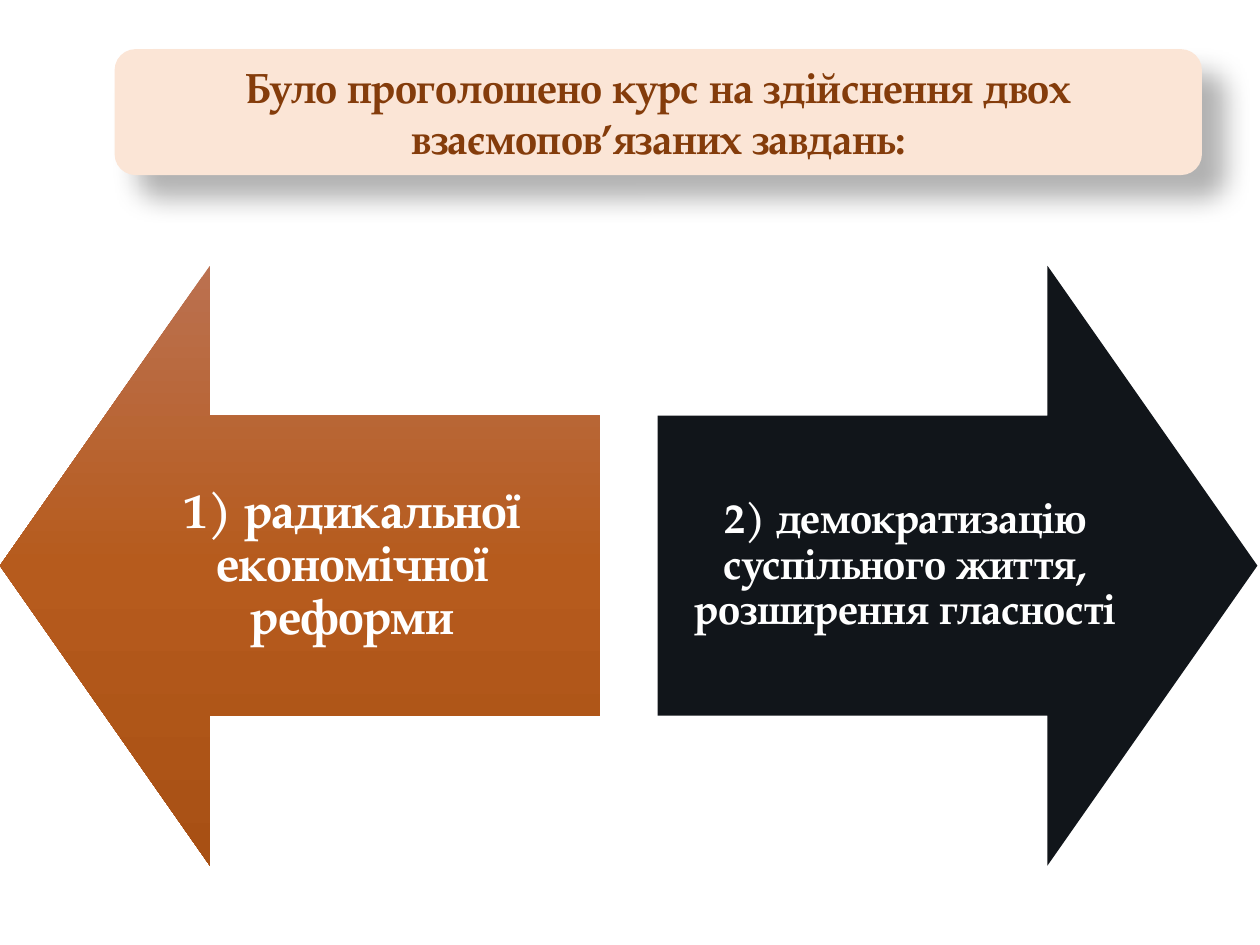
from copy import deepcopy

from lxml import etree
from pptx import Presentation
from pptx.dml.color import RGBColor
from pptx.enum.shapes import MSO_SHAPE
from pptx.enum.text import MSO_ANCHOR, PP_ALIGN
from pptx.oxml import parse_xml
from pptx.oxml.ns import nsdecls
from pptx.util import Inches, Pt

FONT = "TeX Gyre Pagella"
PEACH = RGBColor(0xFB, 0xE5, 0xD6)
BROWN = RGBColor(0x84, 0x3C, 0x0B)
WHITE = RGBColor(0xFF, 0xFF, 0xFF)
NEAR_BLACK = RGBColor(0x11, 0x15, 0x1A)
RUST_STOPS = [
    (0, RGBColor(0xBB, 0x71, 0x50)),
    (0.5, RGBColor(0xB6, 0x5B, 0x1D)),
    (1, RGBColor(0xA8, 0x50, 0x14)),
]
ARROW_SIZE = 4.76


def add_labelled_shape(page, kind, left, top, width, height, text, size, color):
    """Add an outline-free shape with one centred bold paragraph."""
    shape = page.shapes.add_shape(
        kind, Inches(left), Inches(top), Inches(width), Inches(height)
    )
    shape.shadow.inherit = False
    shape.line.fill.background()
    frame = shape.text_frame
    frame.word_wrap = True
    frame.vertical_anchor = MSO_ANCHOR.MIDDLE
    paragraph = frame.paragraphs[0]
    paragraph.text = text
    paragraph.alignment = PP_ALIGN.CENTER
    paragraph.font.name = FONT
    paragraph.font.size = Pt(size)
    paragraph.font.bold = True
    paragraph.font.color.rgb = color
    return shape


deck = Presentation()
deck.slide_width, deck.slide_height = Inches(10), Inches(7.5)
page = deck.slides.add_slide(deck.slide_layouts[6])

# Title with a soft shadow to the lower right
title = add_labelled_shape(
    page, MSO_SHAPE.ROUNDED_RECTANGLE, 0.91, 0.39, 8.63, 1,
    "Було проголошено курс на здійснення двох взаємопов’язаних завдань:", 24, BROWN,
)
title.fill.solid()
title.fill.fore_color.rgb = PEACH
effects = title._element.spPr.find("{*}effectLst")
effects.append(parse_xml(
    f'<a:outerShdw {nsdecls("a")} blurRad="{Pt(15)}" dist="{Pt(18)}" dir="2700000" '
    'algn="tl" rotWithShape="0"><a:srgbClr val="000000"><a:alpha val="30000"/>'
    "</a:srgbClr></a:outerShdw>"
))

# Two opposing arrows, one for each task
tasks = [
    (MSO_SHAPE.LEFT_ARROW, 0, "1) радикальної економічної реформи", 28, 0.22),
    (MSO_SHAPE.RIGHT_ARROW, 5.22,
     "2) демократизацію суспільного життя, розширення гласності", 24, 0.19),
]
arrows = []
for kind, left, text, size, inset in tasks:
    arrow = add_labelled_shape(
        page, kind, left, 2.11, ARROW_SIZE, ARROW_SIZE, text, size, WHITE
    )
    arrow.adjustments[0] = 0.5
    arrow.adjustments[1] = 0.35
    frame = arrow.text_frame
    frame.margin_left = frame.margin_right = Inches(inset)
    frame.margin_top = frame.margin_bottom = Inches(inset)
    frame.paragraphs[0].line_spacing = 0.9
    arrows.append(arrow)

reform_arrow, openness_arrow = arrows
openness_arrow.fill.solid()
openness_arrow.fill.fore_color.rgb = NEAR_BLACK

reform_arrow.fill.gradient()
reform_arrow.fill.gradient_angle = 270
stop_list = reform_arrow._element.spPr.find(".//{*}gsLst")
stop_list.append(deepcopy(stop_list[0]))
for stop, (position, color) in zip(reform_arrow.fill.gradient_stops, RUST_STOPS):
    stop.position = position
    stop.color.rgb = color

deck.save("out.pptx")
